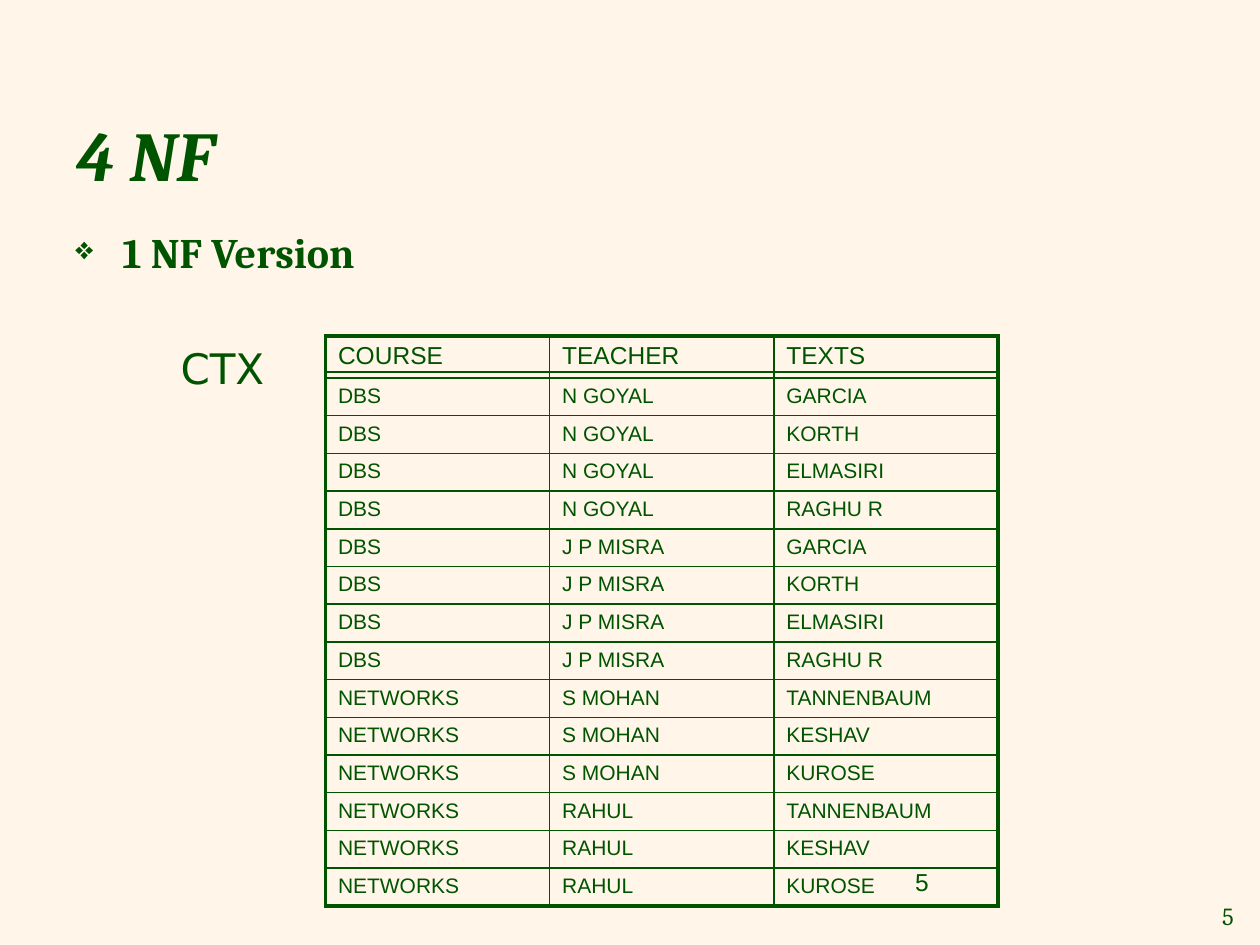
import dataclasses
import itertools

import lxml.etree
import pptx
import pptx.dml.color
import pptx.enum.shapes
import pptx.enum.text
import pptx.oxml.ns
import pptx.util

Cm = pptx.util.Cm
Pt = pptx.util.Pt
qn = pptx.oxml.ns.qn
ANCHOR = pptx.enum.text.MSO_ANCHOR
ALIGN = pptx.enum.text.PP_ALIGN


@dataclasses.dataclass(frozen=True)
class Theme:
    paper: str = "FFF6E9"
    ink: str = "005400"
    serif: str = "Cambria"
    sans: str = "Arial"
    label: str = "DejaVu Sans"
    title: int = 40
    body: int = 24
    small: int = 14
    cell: int = 12
    thick: float = 2.25
    thin: float = 1


@dataclasses.dataclass(frozen=True)
class Label:
    text: str
    left: float
    top: float
    width: float
    height: float
    font: str
    size: int
    bold: bool = False
    wrap: bool = True
    bullet: str = ""
    align: ALIGN = ALIGN.LEFT
    anchor: ANCHOR = ANCHOR.TOP


@dataclasses.dataclass(frozen=True)
class Course:
    name: str
    teachers: tuple[str, ...]
    texts: tuple[str, ...]


THEME = Theme()
HEADINGS = ("COURSE", "TEACHER", "TEXTS")
COURSES = (
    Course("DBS", ("N GOYAL", "J P MISRA"), ("GARCIA", "KORTH", "ELMASIRI", "RAGHU R")),
    Course("NETWORKS", ("S MOHAN", "RAHUL"), ("TANNENBAUM", "KESHAV", "KUROSE")),
)
LABELS = (
    Label("5", 24, 18.03, 1.12, 0.84, THEME.serif, THEME.small,
          wrap=False, align=ALIGN.RIGHT, anchor=ANCHOR.MIDDLE),
    Label("5", 18.2, 17.35, 5.92, 1.32, THEME.sans, THEME.small),
    Label("1 NF Version", 1.27, 4.45, 16.97, 1.83, THEME.serif, THEME.body,
          bold=True, bullet="❖"),
    Label("CTX", 3.39, 6.77, 2.34, 1.27, THEME.label, THEME.body),
)
TABLE_LEFT, TABLE_TOP = 6.56, 6.77
COL_WIDTH, HEAD_HEIGHT, ROW_HEIGHT = 4.52, 0.85, 0.76
RULE_TOP = 7.5


def rgb(value: str) -> pptx.dml.color.RGBColor:
    return pptx.dml.color.RGBColor.from_string(value)


def add_run(p, text: str, font: str, size: int, bold: bool = False, italic: bool = False) -> None:
    r = p.add_run()
    r.text = text
    r.font.name = font
    r.font.size = Pt(size)
    r.font.bold = bold
    r.font.italic = italic
    r.font.color.rgb = rgb(THEME.ink)


def add_bullet(p, char: str) -> None:
    pPr = p._p.get_or_add_pPr()
    pPr.set("marL", str(Cm(0.95)))
    pPr.set("indent", str(Cm(-0.95)))
    color = lxml.etree.SubElement(pPr, qn("a:buClr"))
    lxml.etree.SubElement(color, qn("a:srgbClr"), val=THEME.ink)
    lxml.etree.SubElement(pPr, qn("a:buSzPct"), val="75000")
    lxml.etree.SubElement(pPr, qn("a:buChar"), char=char)


def add_label(s, label: Label) -> None:
    sp = s.shapes.add_textbox(Cm(label.left), Cm(label.top), Cm(label.width), Cm(label.height))
    tf = sp.text_frame
    tf.word_wrap = label.wrap
    tf.vertical_anchor = label.anchor
    p = tf.paragraphs[0]
    p.alignment = label.align
    if label.bullet:
        add_bullet(p, label.bullet)
    add_run(p, label.text, label.font, label.size, label.bold)


def add_title(s, text: str) -> None:
    sp = s.shapes.title
    sp.left, sp.top, sp.width, sp.height = Cm(1.27), Cm(2.26), Cm(22.86), Cm(1.68)
    tf = sp.text_frame
    tf.auto_size = pptx.enum.text.MSO_AUTO_SIZE.NONE
    tf.vertical_anchor = ANCHOR.MIDDLE
    p = tf.paragraphs[0]
    p.alignment = ALIGN.LEFT
    add_run(p, text, THEME.serif, THEME.title, bold=True, italic=True)


def set_border(cell, side: str, width: float) -> None:
    tcPr = cell._tc.get_or_add_tcPr()
    ln = lxml.etree.SubElement(tcPr, qn(f"a:ln{side}"), w=str(Pt(width)))
    fill = lxml.etree.SubElement(ln, qn("a:solidFill"))
    lxml.etree.SubElement(fill, qn("a:srgbClr"), val=THEME.ink)


def add_course_table(s, rows: list[tuple[str, ...]]) -> None:
    n_rows, n_cols = len(rows), len(HEADINGS)
    height = HEAD_HEIGHT + (n_rows - 1) * ROW_HEIGHT
    table = s.shapes.add_table(n_rows, n_cols, Cm(TABLE_LEFT), Cm(TABLE_TOP),
                               Cm(n_cols * COL_WIDTH), Cm(height)).table
    table.first_row = table.horz_banding = False
    for column in table.columns:
        column.width = Cm(COL_WIDTH)
    for i, row in enumerate(rows):
        table.rows[i].height = Cm(ROW_HEIGHT if i else HEAD_HEIGHT)
        for j, text in enumerate(row):
            cell = table.cell(i, j)
            outer = {"L": j == 0, "R": j == n_cols - 1, "T": i == 0, "B": i == n_rows - 1}
            for side, on_edge in outer.items():
                set_border(cell, side, THEME.thick if on_edge else THEME.thin)
            cell.fill.background()
            add_run(cell.text_frame.paragraphs[0], text, THEME.sans,
                    THEME.cell if i else THEME.small)


def add_rule(s, left: float, top: float, width: float) -> None:
    line = s.shapes.add_connector(pptx.enum.shapes.MSO_CONNECTOR.STRAIGHT,
                                  Cm(left), Cm(top), Cm(left + width), Cm(top))
    line.line.color.rgb = rgb(THEME.ink)
    line.line.width = Pt(THEME.thin)
    lxml.etree.SubElement(line._element.spPr, qn("a:effectLst"))


def main() -> None:
    prs = pptx.Presentation()
    prs.slide_width, prs.slide_height = Cm(25.4), Cm(19.05)
    s = prs.slides.add_slide(prs.slide_layouts.get_by_name("Title Only"))
    s.background.fill.solid()
    s.background.fill.fore_color.rgb = rgb(THEME.paper)
    add_title(s, "4 NF")
    rows = [HEADINGS]
    for course in COURSES:
        rows += itertools.product((course.name,), course.teachers, course.texts)
    add_course_table(s, rows)
    add_rule(s, TABLE_LEFT, RULE_TOP, len(HEADINGS) * COL_WIDTH)
    for label in LABELS:
        add_label(s, label)
    prs.save("out.pptx")


if __name__ == "__main__":
    main()
